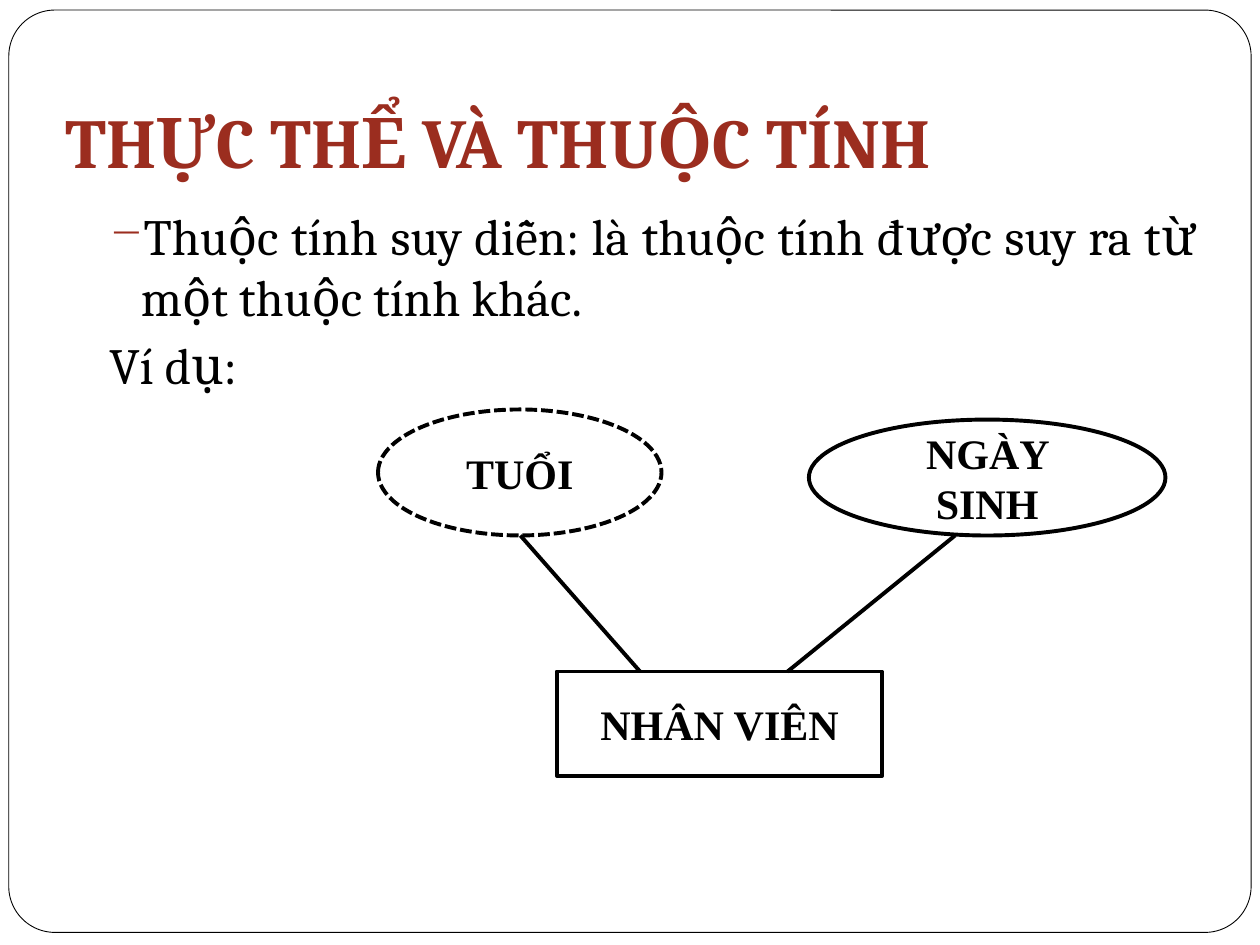
from lxml import etree
from pptx import Presentation
from pptx.dml.color import RGBColor
from pptx.enum.dml import MSO_LINE
from pptx.enum.shapes import MSO_CONNECTOR, MSO_SHAPE
from pptx.enum.text import MSO_ANCHOR, PP_ALIGN
from pptx.oxml.ns import qn
from pptx.util import Inches, Pt

BLACK = RGBColor(0x00, 0x00, 0x00)
WHITE = RGBColor(0xFF, 0xFF, 0xFF)
RUST = RGBColor(0x9B, 0x2D, 0x1F)
ELLIPSE, RECTANGLE, FRAME = MSO_SHAPE.OVAL, MSO_SHAPE.RECTANGLE, MSO_SHAPE.ROUNDED_RECTANGLE
TOP, MIDDLE, BOTTOM = MSO_ANCHOR.TOP, MSO_ANCHOR.MIDDLE, MSO_ANCHOR.BOTTOM
LEFT, CENTER, JUSTIFY = PP_ALIGN.LEFT, PP_ALIGN.CENTER, PP_ALIGN.JUSTIFY
DASHED = MSO_LINE.SQUARE_DOT

TITLE = "THỰC THỂ VÀ THUỘC TÍNH"
# text, bullet
BODY = [
    ("Thuộc tính suy diễn: là thuộc tính được suy ra từ một thuộc tính khác.", "−"),
    ("Ví dụ:", None),
]
# text, outline, (left, top, width, height) in inches, dash
NODES = [
    ("TUỔI", ELLIPSE, (3, 3.25, 2.25, 1), DASHED),
    ("NHÂN VIÊN", RECTANGLE, (4.42, 5.33, 2.58, 0.83), None),
    ("NGÀY SINH", ELLIPSE, (6.42, 3.33, 2.83, 0.92), None),
]
# attribute end, entity end
LINKS = [((4.13, 4.25), (5.08, 5.33)), ((7.58, 4.25), (6.25, 5.33))]

TITLE_FONT = {"name": "Cambria", "size": Pt(40), "bold": True}
BODY_FONT = {"name": "Cambria", "size": Pt(29)}
NODE_FONT = {"name": "Times New Roman", "size": Pt(24), "bold": True}
COLUMN_LEFT, COLUMN_WIDTH = 0.42, 9.17


def inches(values):
    return [Inches(value) for value in values]


def write(frame, lines, font, color, align, anchor):
    frame.word_wrap = True
    frame.vertical_anchor = anchor
    for index, line in enumerate(lines):
        paragraph = frame.paragraphs[0] if index == 0 else frame.add_paragraph()
        paragraph.alignment = align
        run = paragraph.add_run()
        run.text = line
        for key, value in font.items():
            setattr(run.font, key, value)
        run.font.color.rgb = color


def add_outlined(slide, outline, box, width, dash=None):
    shape = slide.shapes.add_shape(outline, *inches(box))
    shape.shadow.inherit = False
    shape.fill.solid()
    shape.fill.fore_color.rgb = WHITE
    shape.line.color.rgb = BLACK
    shape.line.width = Pt(width)
    if dash:
        shape.line.dash_style = dash
    return shape


def set_hanging_bullet(paragraph, bullet):
    paragraph.space_before = Pt(3.7)
    properties = paragraph._p.get_or_add_pPr()
    properties.set("marL", str(Inches(0.6)))
    properties.set("indent", str(Inches(-0.25)))
    if bullet is None:
        etree.SubElement(properties, qn("a:buNone"))
        return
    color = etree.SubElement(properties, qn("a:buClr"))
    etree.SubElement(color, qn("a:srgbClr"), val=str(RUST))
    etree.SubElement(properties, qn("a:buSzPct"), val="85000")
    etree.SubElement(properties, qn("a:buChar"), char=bullet)


def add_link(slide, start, end):
    link = slide.shapes.add_connector(MSO_CONNECTOR.STRAIGHT, *inches(start + end))
    link.line.color.rgb = BLACK
    link.line.width = Pt(2.25)
    etree.SubElement(link._element.spPr, qn("a:effectLst"))


def main():
    deck = Presentation()
    deck.slide_width, deck.slide_height = inches((10, 7.5))
    slide = deck.slides.add_slide(deck.slide_layouts[6])

    frame = add_outlined(slide, FRAME, (0.07, 0.08, 9.86, 7.32), 0.5)
    frame.adjustments[0] = 0.05

    title = slide.shapes.add_textbox(*inches((COLUMN_LEFT, 0.3, COLUMN_WIDTH, 1.25))).text_frame
    title.margin_bottom = Inches(0.1)
    write(title, [TITLE], TITLE_FONT, RUST, LEFT, BOTTOM)

    body = slide.shapes.add_textbox(*inches((COLUMN_LEFT, 1.58, COLUMN_WIDTH, 5))).text_frame
    write(body, [text for text, _ in BODY], BODY_FONT, BLACK, JUSTIFY, TOP)
    for paragraph, (_, bullet) in zip(body.paragraphs, BODY):
        set_hanging_bullet(paragraph, bullet)

    for text, outline, box, dash in NODES:
        node = add_outlined(slide, outline, box, 2.25, dash)
        write(node.text_frame, [text], NODE_FONT, BLACK, CENTER, MIDDLE)
    for start, end in LINKS:
        add_link(slide, start, end)

    deck.save("out.pptx")


if __name__ == "__main__":
    main()
